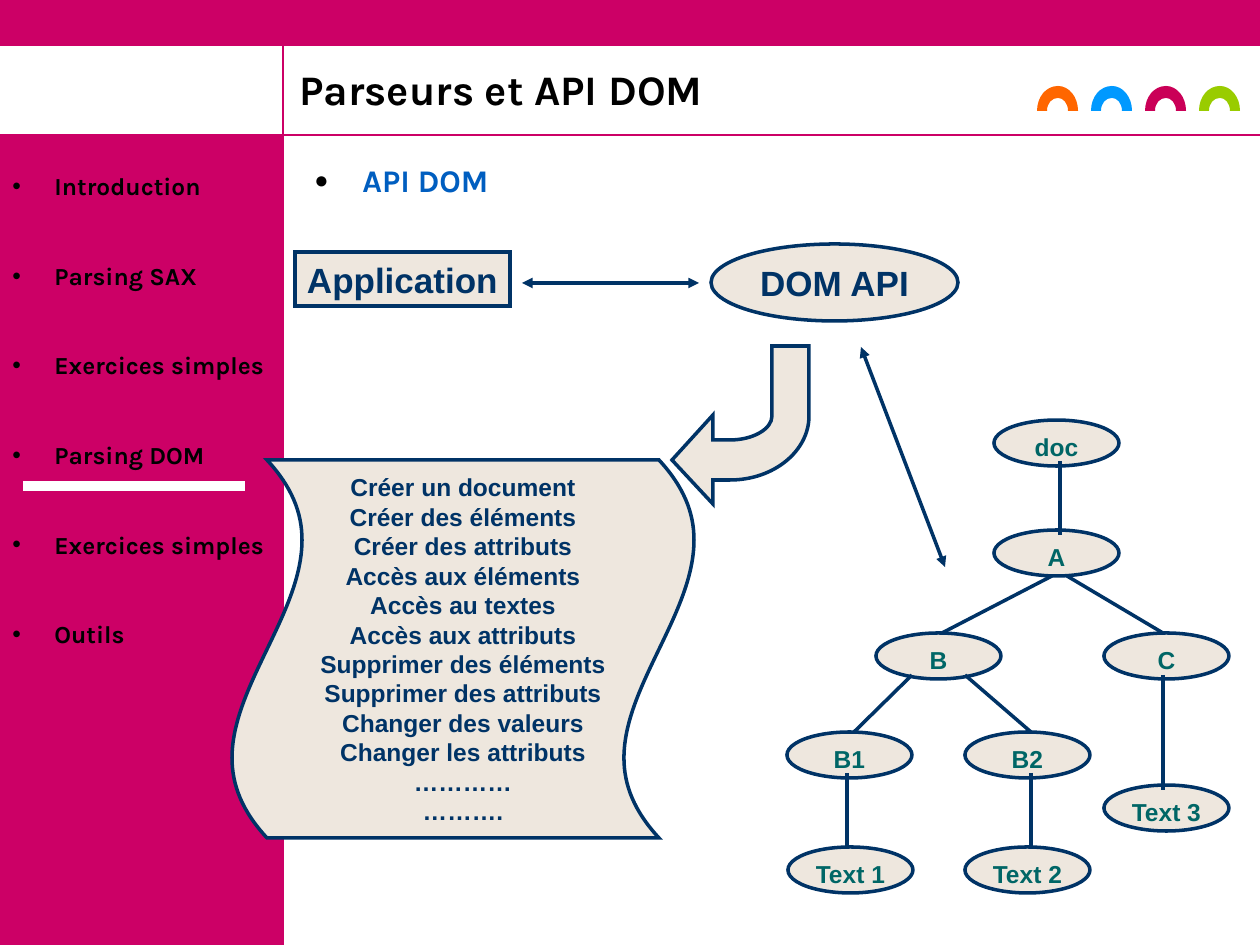
from lxml.etree import SubElement
from pptx import Presentation
from pptx.dml.color import RGBColor
from pptx.enum.shapes import MSO_CONNECTOR, MSO_SHAPE
from pptx.enum.text import MSO_ANCHOR, PP_ALIGN
from pptx.oxml.ns import qn
from pptx.util import Pt

PX = 914400 / 126
PINK, NAVY, BEIGE, TEAL = "CC0066", "003366", "EEE7DE", "006666"
BLUE, BLACK, WHITE = "005EC0", "000000", "FFFFFF"

# Content
TITLE = "Parseurs et API DOM"
TOPIC = "API DOM"
MENU = ["Introduction", "Parsing SAX", "Exercices simples", "Parsing DOM",
        "Exercices simples", "Outils"]
OPERATIONS = ["Créer un document", "Créer des éléments", "Créer des attributs",
              "Accès aux éléments", "Accès au textes", "Accès aux attributs",
              "Supprimer des éléments", "Supprimer des attributs",
              "Changer des valeurs", "Changer les attributs", "…………", "………."]
NODE_SIZE = (125, 46)
NODES = [("doc", 994, 420), ("A", 994, 530), ("B", 876, 633), ("B1", 787, 732),
         ("B2", 965, 732), ("C", 1104, 633), ("Text 3", 1104, 785),
         ("Text 2", 965, 847), ("Text 1", 788, 847)]
BRANCHES = [(1060, 461, 1060, 535), (1052, 576, 942, 633), (1067, 576, 1163, 633),
            (912, 675, 854, 732), (965, 675, 1031, 732), (847, 773, 847, 847),
            (1031, 773, 1031, 847), (1163, 675, 1163, 790)]
EXCHANGES = [(522, 283, 699, 283), (861, 347, 945, 567)]

# Outlines: a pair is a corner, a triple of pairs is a Bézier curve
ARCH_COLOURS = ["FF6600", "0099FF", "CA0057", "99CC00"]
ARCH_LEFT, ARCH_TOP, ARCH_PITCH = 1037, 86, 54
ARCH = [(10, 25), ((10, 17), (15, 12), (21, 12)), ((26, 12), (31, 17), (31, 25)),
        (41, 25), ((41, 11), (32, 0), (21, 0)), ((9, 0), (0, 11), (0, 25))]
SCROLL_WIDTH = 392
SCROLL_EDGE = [(267, 838), (242, 811), (232, 785), (232, 758), (232, 686), (302, 613),
               (302, 540), (302, 513), (292, 487), (267, 460)]
BENT_ARROW = [(672, 460), (713, 504), (713, 480), (730, 480),
              ((774, 480), (809, 451), (809, 416)), (809, 346), (772, 346),
              (772, 416), ((772, 429), (753, 440), (730, 440)), (713, 440), (713, 415)]


def px(*lengths):
    return [round(length * PX) for length in lengths]


def colour(value):
    return RGBColor.from_string(value)


def curves(points):
    return [tuple(points[i:i + 3]) for i in range(1, len(points), 3)]


def paint(shape, fill, line=None, width=2):
    shape.shadow.inherit = False
    shape.fill.solid()
    shape.fill.fore_color.rgb = colour(fill)
    if line:
        shape.line.color.rgb = colour(line)
        shape.line.width = Pt(width)
        SubElement(shape.line._get_or_add_ln(), qn("a:miter"), lim="800000")
    else:
        shape.line.fill.background()
    return shape


def add_block(kind, box, fill, line=None):
    return paint(slide.shapes.add_shape(kind, *px(*box)), fill, line)


def add_outline(steps, fill, line=None, left=0, top=0):
    steps = [step if isinstance(step[0], tuple) else (step,) for step in steps]
    emu = [px(x + left, y + top) for step in steps for x, y in step]
    builder = slide.shapes.build_freeform(*emu[0])
    builder.add_line_segments(emu[1:], close=True)
    shape = builder.convert_to_shape()
    # Join the three points of each curve into one Bézier segment
    segments = iter(list(shape._element.iter(qn("a:lnTo"))))
    for step in steps[1:]:
        first, *others = [next(segments) for _ in step]
        if others:
            first.tag = qn("a:cubicBezTo")
            for other in others:
                first.append(other[0])
                other.getparent().remove(other)
    return paint(shape, fill, line)


def add_line(ends, line, width=2, arrows=False):
    connector = slide.shapes.add_connector(MSO_CONNECTOR.STRAIGHT, *px(*ends))
    connector.line.color.rgb = colour(line)
    connector.line.width = Pt(width)
    if arrows:
        outline = connector.line._get_or_add_ln()
        for end in ("a:headEnd", "a:tailEnd"):
            SubElement(outline, qn(end), type="triangle")
    SubElement(connector._element.spPr, qn("a:effectLst"))


def write(shape, lines, size, font, text_colour, align=PP_ALIGN.CENTER,
          anchor=MSO_ANCHOR.MIDDLE, wrap=False, spacing=None, gap=0, bullet=None):
    frame = shape.text_frame
    frame.text = "\n".join(lines)
    frame.word_wrap = wrap
    frame.vertical_anchor = anchor
    for number, paragraph in enumerate(frame.paragraphs):
        paragraph.alignment = align
        if spacing:
            paragraph.line_spacing = spacing
        if number and gap:
            paragraph.space_before = Pt(gap)
        if bullet:
            mark, indent, percent = bullet
            properties = paragraph._p.get_or_add_pPr()
            properties.set("marL", str(px(indent)[0]))
            properties.set("indent", str(px(-indent)[0]))
            mark_colour = SubElement(properties, qn("a:buClr"))
            SubElement(mark_colour, qn("a:srgbClr"), val=BLACK)
            SubElement(properties, qn("a:buSzPct"), val=str(percent * 1000))
            SubElement(properties, qn("a:buFont"), typeface="Arial")
            SubElement(properties, qn("a:buChar"), char=mark)
        for run in paragraph.runs:
            run.font.name = font
            run.font.size = Pt(size)
            run.font.bold = True
            run.font.color.rgb = colour(text_colour)


def add_text(box, lines, size, text_colour, anchor=MSO_ANCHOR.TOP, **options):
    write(slide.shapes.add_textbox(*px(*box)), lines, size, "Karla", text_colour,
          align=PP_ALIGN.LEFT, anchor=anchor, wrap=True, **options)


presentation = Presentation()
presentation.slide_width, presentation.slide_height = px(1260, 945)
slide = presentation.slides.add_slide(presentation.slide_layouts[6])

# Frame: side panel, top band, rules and arches
add_block(MSO_SHAPE.RECTANGLE, (0, 135, 283, 810), PINK)
add_block(MSO_SHAPE.RECTANGLE, (0, 0, 1260, 46), PINK)
add_line((0, 135, 1260, 135), PINK, 0.75)
add_line((283, 945, 283, 0), PINK, 0.75)
for index, arch_colour in enumerate(ARCH_COLOURS):
    add_outline(ARCH, arch_colour, left=ARCH_LEFT + index * ARCH_PITCH, top=ARCH_TOP)

# Menu, title and topic
add_text((0, 165, 292, 509), MENU, 14, BLACK, gap=34.4, bullet=("•", 42, 100))
add_text((287, 60, 924, 61), [TITLE], 24, BLACK, anchor=MSO_ANCHOR.BOTTOM, spacing=0.9)
add_text((302, 155, 932, 790), [TOPIC], 18, BLUE, bullet=("●", 48, 75))

# Document tree
for label, left, top in NODES:
    node = add_block(MSO_SHAPE.OVAL, (left, top, *NODE_SIZE), BEIGE, NAVY)
    write(node, [label], 14, "Arial", TEAL, spacing=1.25)
for branch in BRANCHES:
    add_line(branch, NAVY)

# Application and API
application = add_block(MSO_SHAPE.RECTANGLE, (295, 252, 215, 54), BEIGE, NAVY)
write(application, ["Application"], 20, "Arial", NAVY)
dom_api = add_block(MSO_SHAPE.OVAL, (711, 244, 247, 77), BEIGE, NAVY)
write(dom_api, ["DOM API"], 20, "Arial", NAVY)
for exchange in EXCHANGES:
    add_line(exchange, NAVY, arrows=True)

# Operations offered by the API
right_edge = [(x + SCROLL_WIDTH, y) for x, y in reversed(SCROLL_EDGE)]
scroll = add_outline([SCROLL_EDGE[0], *curves(SCROLL_EDGE),
                      right_edge[0], *curves(right_edge)], BEIGE, NAVY)
write(scroll, OPERATIONS, 14, "Arial", NAVY, spacing=Pt(16.8))
add_outline(BENT_ARROW, BEIGE, NAVY)

# Marker under the current menu entry
add_block(MSO_SHAPE.RECTANGLE, (25, 483, 218, 6), WHITE, WHITE)

presentation.save("out.pptx")
